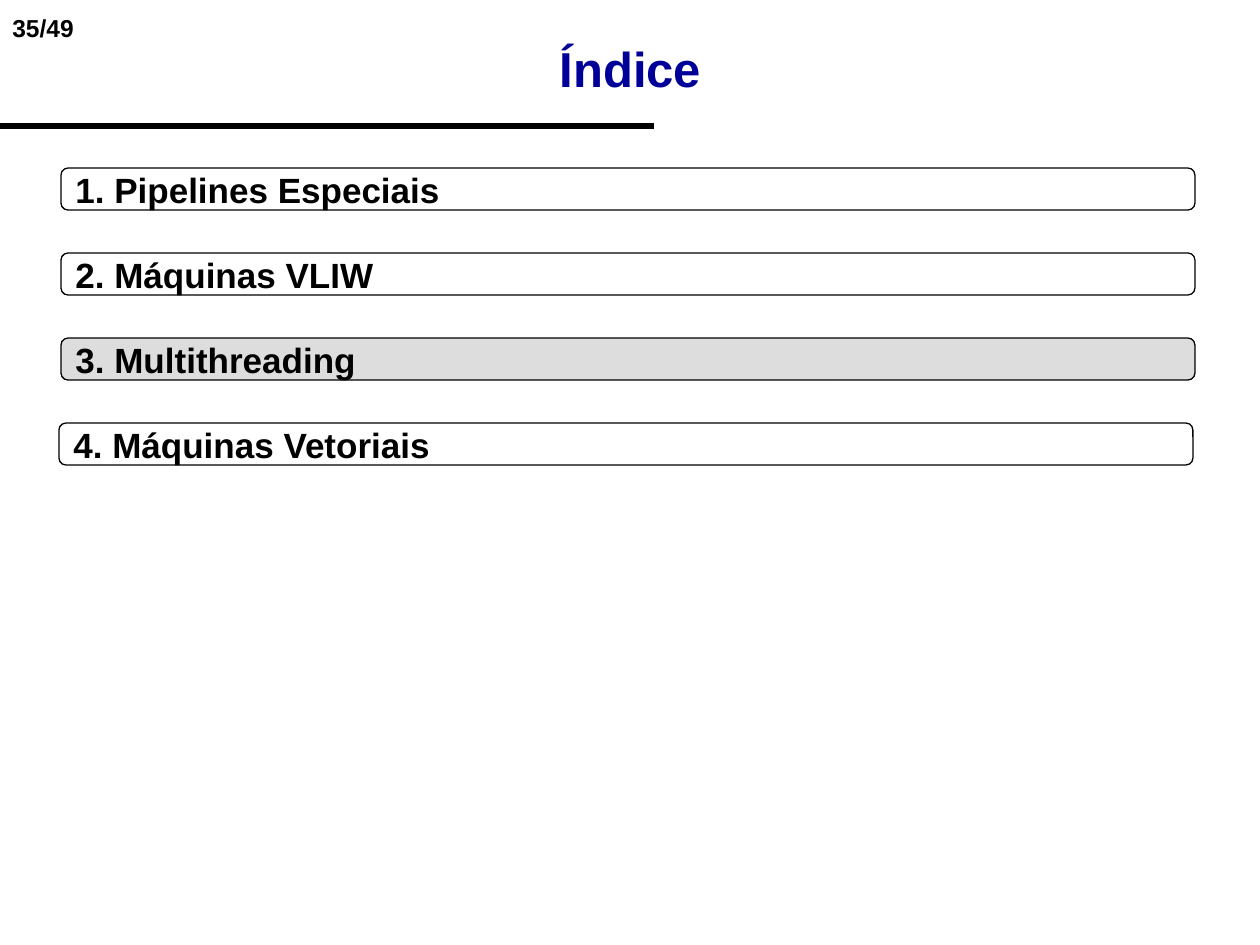
"""Build the index slide with its four numbered sections."""
from lxml.etree import SubElement
from pptx import Presentation
from pptx.dml.color import RGBColor
from pptx.enum.shapes import MSO_CONNECTOR, MSO_SHAPE
from pptx.enum.text import MSO_ANCHOR, PP_ALIGN
from pptx.oxml.ns import qn
from pptx.util import Pt

BLACK = RGBColor(0x00, 0x00, 0x00)
NAVY = RGBColor(0x00, 0x00, 0x99)
GRAY = RGBColor(0xDD, 0xDD, 0xDD)

TITLE = "Índice"
PAGE_NUMBER = "35/49"
SECTIONS = [
    ("1. Pipelines Especiais", 61),
    ("2. Máquinas VLIW", 61),
    ("3. Multithreading", 61),
    ("4. Máquinas Vetoriais", 59),
]
CURRENT_SECTION = 2
FIRST_TOP, SECTION_STEP = 168, 85
SECTION_WIDTH, SECTION_HEIGHT = 1134, 42


def px(*lengths):
    return [round(length * 914400 / 126) for length in lengths]


def write(shape, text, size, color, alignment=PP_ALIGN.LEFT):
    shape.text_frame.text = text
    paragraph = shape.text_frame.paragraphs[0]
    paragraph.alignment = alignment
    font = paragraph.runs[0].font
    font.name, font.size, font.bold = "Arial", Pt(size), True
    font.color.rgb = color


def add_header(slide):
    number = slide.shapes.add_textbox(*px(0, 7, 178, 43))
    number.text_frame.word_wrap = False
    write(number, PAGE_NUMBER, 14, BLACK)

    rule = slide.shapes.add_connector(MSO_CONNECTOR.STRAIGHT, *px(654, 126, 0, 126))
    rule.line.color.rgb = BLACK
    rule.line.width = Pt(3)
    SubElement(rule._element.spPr, qn("a:effectLst"))

    title = slide.shapes.title
    title.left, title.top, title.width, title.height = px(53, 41, 1155, 53)
    frame = title.text_frame
    frame.margin_left = frame.margin_right = frame.margin_top = frame.margin_bottom = 0
    frame.vertical_anchor = MSO_ANCHOR.MIDDLE
    write(title, TITLE, 28, NAVY, PP_ALIGN.CENTER)


def add_section(slide, index, text, left):
    top = FIRST_TOP + index * SECTION_STEP
    section = slide.shapes.add_shape(
        MSO_SHAPE.ROUNDED_RECTANGLE, *px(left, top, SECTION_WIDTH, SECTION_HEIGHT)
    )
    section.shadow.inherit = False
    if index == CURRENT_SECTION:
        section.fill.solid()
        section.fill.fore_color.rgb = GRAY
    else:
        section.fill.background()
    section.line.color.rgb = BLACK
    section.line.width = Pt(0.75)
    section.text_frame.word_wrap = True
    section.text_frame.vertical_anchor = MSO_ANCHOR.MIDDLE
    write(section, text, 20, BLACK)


def main():
    presentation = Presentation()
    presentation.slide_width, presentation.slide_height = px(1260, 945)
    slide = presentation.slides.add_slide(presentation.slide_layouts[5])
    add_header(slide)
    for index, (text, left) in enumerate(SECTIONS):
        add_section(slide, index, text, left)
    presentation.save("out.pptx")


if __name__ == "__main__":
    main()
